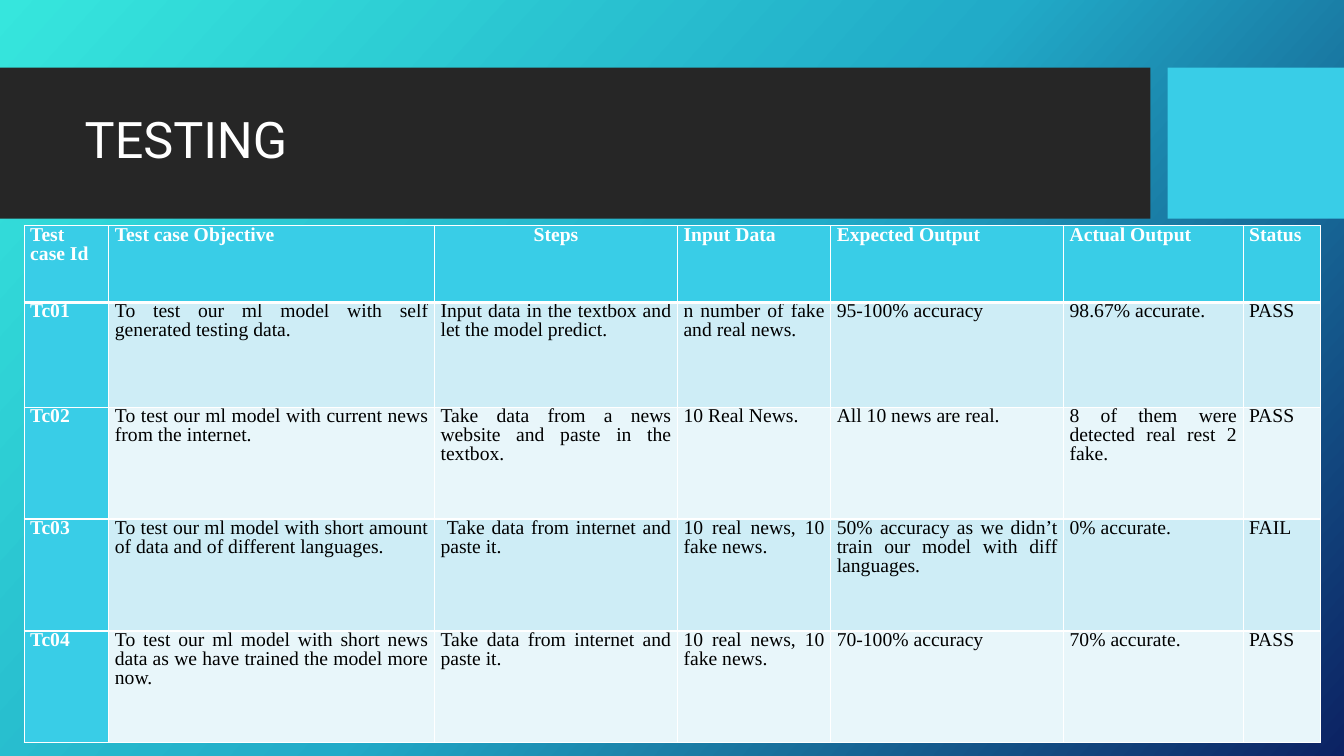
from copy import deepcopy
from pptx import Presentation
from pptx.dml.color import RGBColor
from pptx.enum.shapes import MSO_SHAPE as Shape
from pptx.enum.text import MSO_ANCHOR as Anchor, PP_ALIGN as Align
from pptx.oxml import parse_xml
from pptx.oxml.ns import nsdecls, qn
from pptx.util import Inches, Pt

WHITE = RGBColor(0xFF, 0xFF, 0xFF)
BLACK = RGBColor(0, 0, 0)
DARK = RGBColor(0x26, 0x26, 0x26)
CYAN = RGBColor(0x39, 0xCD, 0xE7)
BANDS = [RGBColor(0xCE, 0xED, 0xF6), RGBColor(0xE8, 0xF6, 0xFA)]
FADE = [(0, RGBColor(0x36, 0xE6, 0xDD)), (0.5, RGBColor(0x21, 0xAB, 0xC8)),
        (1, RGBColor(0x0C, 0x22, 0x63))]

COLS = [0.84, 3.23, 2.41, 1.52, 2.31, 1.78, 0.77]
ROWS = [0.76, 1.04, 1.11, 1.11, 1.11]
CASES = [
    ["Test case Id", "Test case Objective", "Steps", "Input Data",
     "Expected Output", "Actual Output", "Status"],
    ["Tc01", "To test our ml model with self generated testing data.",
     "Input data in the textbox and let the model predict.",
     "n number of fake and real news.", "95-100% accuracy",
     "98.67% accurate.", "PASS"],
    ["Tc02", "To test our ml model with current news from the internet.",
     "Take data from a news website and paste in the textbox.",
     "10 Real News.", "All 10 news are real.",
     "8 of them were detected real rest 2 fake.", "PASS"],
    ["Tc03", "To test our ml model with short amount of data and of "
     "different languages.", " Take data from internet and paste it.",
     "10 real news, 10 fake news.",
     "50% accuracy as we didn’t train our model with diff languages.",
     "0% accurate.", "FAIL"],
    ["Tc04", "To test our ml model with short news data as we have trained "
     "the model more now.", "Take data from internet and paste it.",
     "10 real news, 10 fake news.", "70-100% accuracy",
     "70% accurate.", "PASS"],
]


def add_run(para, text, face, size, color, bold=False):
    run = para.add_run()
    run.text = text
    font = run.font
    font.name, font.size, font.bold = face, Pt(size), bold
    font.color.rgb = color


def paint_back(slide):
    fill = slide.background.fill
    fill.gradient()
    fill.gradient_angle = 360 - 42
    # The new gradient has two stops; add a third
    stops = next(slide.element.iter(qn("a:gsLst")))
    stops.append(deepcopy(stops[0]))
    for stop, (pos, color) in zip(fill.gradient_stops, FADE):
        stop.position = pos
        stop.color.rgb = color


def add_bar(slide, x, y, w, h, color):
    bar = slide.shapes.add_shape(
        Shape.RECTANGLE, Inches(x), Inches(y), Inches(w), Inches(h))
    bar.shadow.inherit = False
    bar.fill.solid()
    bar.fill.fore_color.rgb = color
    bar.line.fill.background()
    # Bars lie behind the title
    slide.shapes.title.element.addprevious(bar.element)


def add_head(slide, x, y, w, h):
    side, gap = 1.75, 0.17
    add_bar(slide, x, y, w - side - gap, h, DARK)
    add_bar(slide, x + w - side, y, side, h, CYAN)
    # Title text
    title = slide.shapes.title
    title.left, title.top = Inches(x + 0.74), Inches(y + 0.15)
    title.width, title.height = Inches(10.51), Inches(1.18)
    frame = title.text_frame
    frame.vertical_anchor = Anchor.MIDDLE
    para = frame.paragraphs[0]
    para.alignment = Align.LEFT
    para.line_spacing = 0.9
    add_run(para, "TESTING", "Roboto", 36, WHITE)


def add_edges(cell, row):
    props = cell._tc.get_or_add_tcPr()
    top = 3 if row == 1 else 1
    base = 3 if row == 0 else 1
    for i, (side, width) in enumerate(
            [("L", 1), ("R", 1), ("T", top), ("B", base)]):
        props.insert(i, parse_xml(
            f'<a:ln{side} {nsdecls("a")} w="{Pt(width)}"><a:solidFill>'
            f'<a:srgbClr val="{WHITE}"/></a:solidFill></a:ln{side}>'))


def fill_cell(cell, row, col, text):
    key = row == 0 or col == 0
    cell.fill.solid()
    cell.fill.fore_color.rgb = CYAN if key else BANDS[(row - 1) % 2]
    add_edges(cell, row)
    cell.margin_left = cell.margin_right = Inches(0.06)
    cell.margin_top = cell.margin_bottom = 0
    para = cell.text_frame.paragraphs[0]
    para.alignment = Align.CENTER if (row, col) == (0, 2) else Align.JUSTIFY
    para.line_spacing = 0.88
    para.space_after = Pt(10)
    add_run(para, text, "Times New Roman", 14, WHITE if key else BLACK, key)


def add_cases(slide, x, y, w, h):
    table = slide.shapes.add_table(
        len(ROWS), len(COLS), Inches(x), Inches(y), Inches(w), Inches(h)).table
    for col, width in zip(table.columns, COLS):
        col.width = Inches(width)
    for row, tall in zip(table.rows, ROWS):
        row.height = Inches(tall)
    for r, case in enumerate(CASES):
        for c, text in enumerate(case):
            fill_cell(table.cell(r, c), r, c, text)


def main():
    deck = Presentation()
    deck.slide_width, deck.slide_height = Inches(13.33), Inches(7.5)
    slide = deck.slides.add_slide(deck.slide_layouts[5])
    paint_back(slide)
    add_head(slide, 0, 0.67, 13.33, 1.5)
    add_cases(slide, 0.24, 2.24, sum(COLS), sum(ROWS))
    deck.save("out.pptx")


if __name__ == "__main__":
    main()
